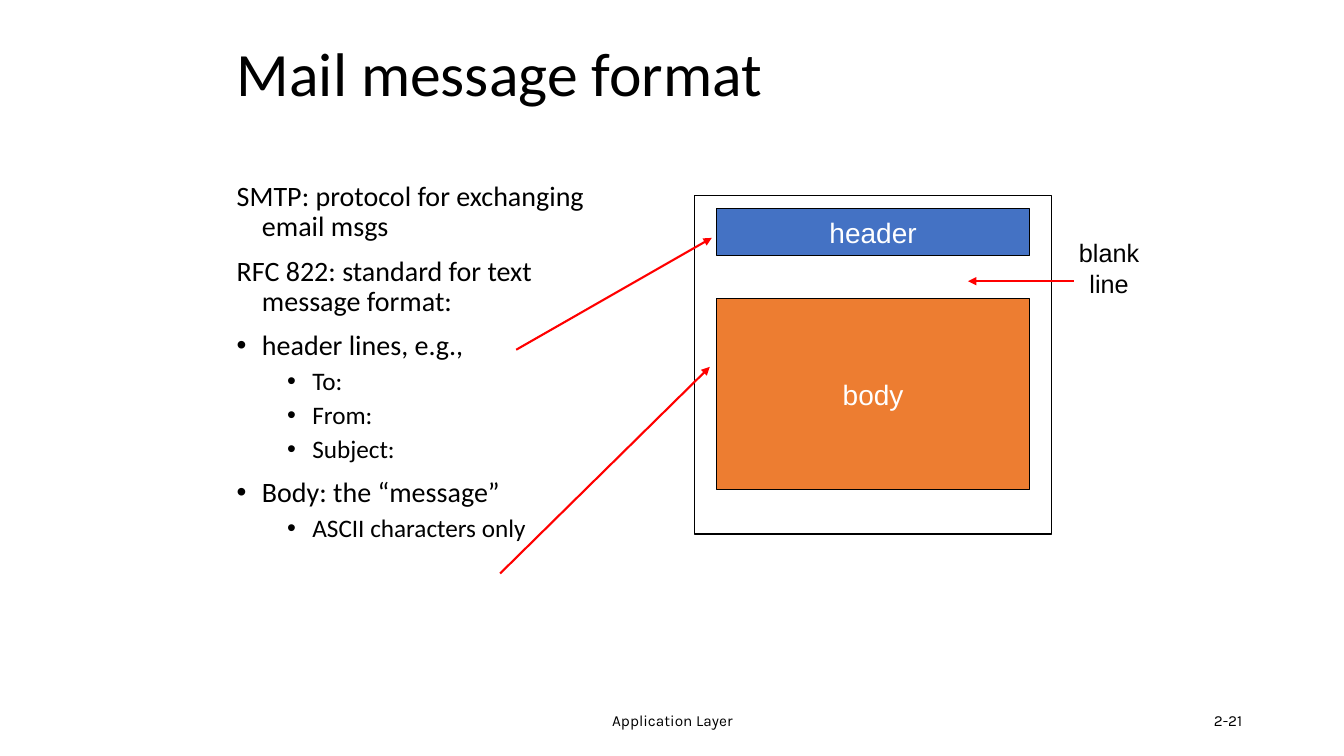
import lxml.etree
import pptx
import pptx.dml.color
import pptx.enum.shapes
import pptx.enum.text
import pptx.oxml.ns
import pptx.util

Inches = pptx.util.Inches
Pt = pptx.util.Pt
ALIGN = pptx.enum.text.PP_ALIGN
ANCHOR = pptx.enum.text.MSO_ANCHOR

BLACK, WHITE, RED = "000000", "FFFFFF", "FF0000"
BLUE, ORANGE = "4472C4", "ED7D31"

NOTES = [
    (0, False, "SMTP: protocol for exchanging email msgs"),
    (0, False, "RFC 822: standard for text message format:"),
    (0, True, "header lines, e.g.,"),
    (1, True, "To:"),
    (1, True, "From:"),
    (1, True, "Subject:"),
    (0, True, "Body: the “message”"),
    (1, True, "ASCII characters only"),
]
ARROWS = [
    ((5.12, 3.47), (7.06, 2.36)),
    ((4.96, 5.69), (7.04, 3.64)),
    ((10.65, 2.79), (9.6, 2.79)),
]


def color(value):
    """Turn a hex string into a colour."""
    return pptx.dml.color.RGBColor.from_string(value)


def add_element(parent, tag, **attributes):
    """Append a DrawingML element to a parent element."""
    return lxml.etree.SubElement(parent, pptx.oxml.ns.qn(tag), attributes)


def style(paragraph, size, font_name, font_color=BLACK):
    """Set the font of a whole paragraph."""
    font = paragraph.font
    font.size = Pt(size)
    font.name = font_name
    font.color.rgb = color(font_color)


def add_text(slide, box, lines, size, font_name, align=ALIGN.LEFT,
             anchor=ANCHOR.MIDDLE, wrap=True):
    """Add a text box with one paragraph per line."""
    frame = slide.shapes.add_textbox(*map(Inches, box)).text_frame
    frame.word_wrap = wrap
    frame.vertical_anchor = anchor
    frame.text = "\n".join(lines)
    for paragraph in frame.paragraphs:
        paragraph.alignment = align
        style(paragraph, size, font_name)
    return frame


def add_notes(slide, box):
    """Add the two-level list of notes."""
    frame = slide.shapes.add_textbox(*map(Inches, box)).text_frame
    frame.word_wrap = True
    frame.text = "\n".join(text for _, _, text in NOTES)
    for paragraph, (level, bullet, _) in zip(frame.paragraphs, NOTES):
        paragraph.level = level
        paragraph.line_spacing = 0.9
        paragraph.space_before = Pt(5 if level else 10)
        properties = paragraph._p.get_or_add_pPr()
        properties.set("marL", str(Inches(0.25 + 0.5 * level)))
        properties.set("indent", str(Inches(-0.25)))
        if bullet:
            add_element(properties, "a:buFont", typeface="Arial")
            add_element(properties, "a:buChar", char="•")
        style(paragraph, 18 if level else 20, "Calibri")


def add_box(slide, box, line_width, fill=None, label=None):
    """Add an outlined rectangle, filled and labelled if asked."""
    shape = slide.shapes.add_shape(
        pptx.enum.shapes.MSO_SHAPE.RECTANGLE, *map(Inches, box))
    shape.shadow.inherit = False
    shape.line.color.rgb = color(BLACK)
    shape.line.width = Pt(line_width)
    if fill:
        shape.fill.solid()
        shape.fill.fore_color.rgb = color(fill)
    else:
        shape.fill.background()
    if label:
        frame = shape.text_frame
        frame.word_wrap = False
        frame.vertical_anchor = ANCHOR.MIDDLE
        frame.text = label
        frame.paragraphs[0].alignment = ALIGN.CENTER
        style(frame.paragraphs[0], 20, "Arial", WHITE)


def add_arrow(slide, start, end):
    """Add a red arrow from start to end."""
    arrow = slide.shapes.add_connector(
        pptx.enum.shapes.MSO_CONNECTOR.STRAIGHT, *map(Inches, start + end))
    arrow.line.color.rgb = color(RED)
    arrow.line.width = Pt(1.5)
    add_element(arrow.line._get_or_add_ln(), "a:tailEnd", type="triangle")
    add_element(arrow._element.spPr, "a:effectLst")


def main():
    """Build the slide and save it."""
    presentation = pptx.Presentation()
    presentation.slide_width = Inches(13.33)
    presentation.slide_height = Inches(7.5)
    slide = presentation.slides.add_slide(presentation.slide_layouts[6])

    add_text(slide, (4.42, 6.95, 4.5, 0.4), ["Application Layer"], 11, "Karla",
             ALIGN.CENTER)
    add_text(slide, (9.42, 6.95, 3, 0.4), ["2-21"], 11, "Karla", ALIGN.RIGHT)
    title = add_text(slide, (2.25, 0.13, 8.5, 1.25), ["Mail message format"],
                     44, "Calibri")
    title.paragraphs[0].line_spacing = 0.9
    add_notes(slide, (2.25, 1.76, 4.1, 5.08))

    add_box(slide, (7.11, 2.07, 3.1, 0.47), 0.75, BLUE, "header")
    add_box(slide, (7.11, 2.96, 3.1, 1.9), 0.75, ORANGE, "body")
    add_box(slide, (6.89, 1.94, 3.54, 3.36), 1)
    add_text(slide, (10.6, 2.31, 0.8, 0.71), ["blank", "line"], 18, "Arial",
             ALIGN.CENTER, ANCHOR.TOP, wrap=False)
    for start, end in ARROWS:
        add_arrow(slide, start, end)

    presentation.save("out.pptx")


if __name__ == "__main__":
    main()
